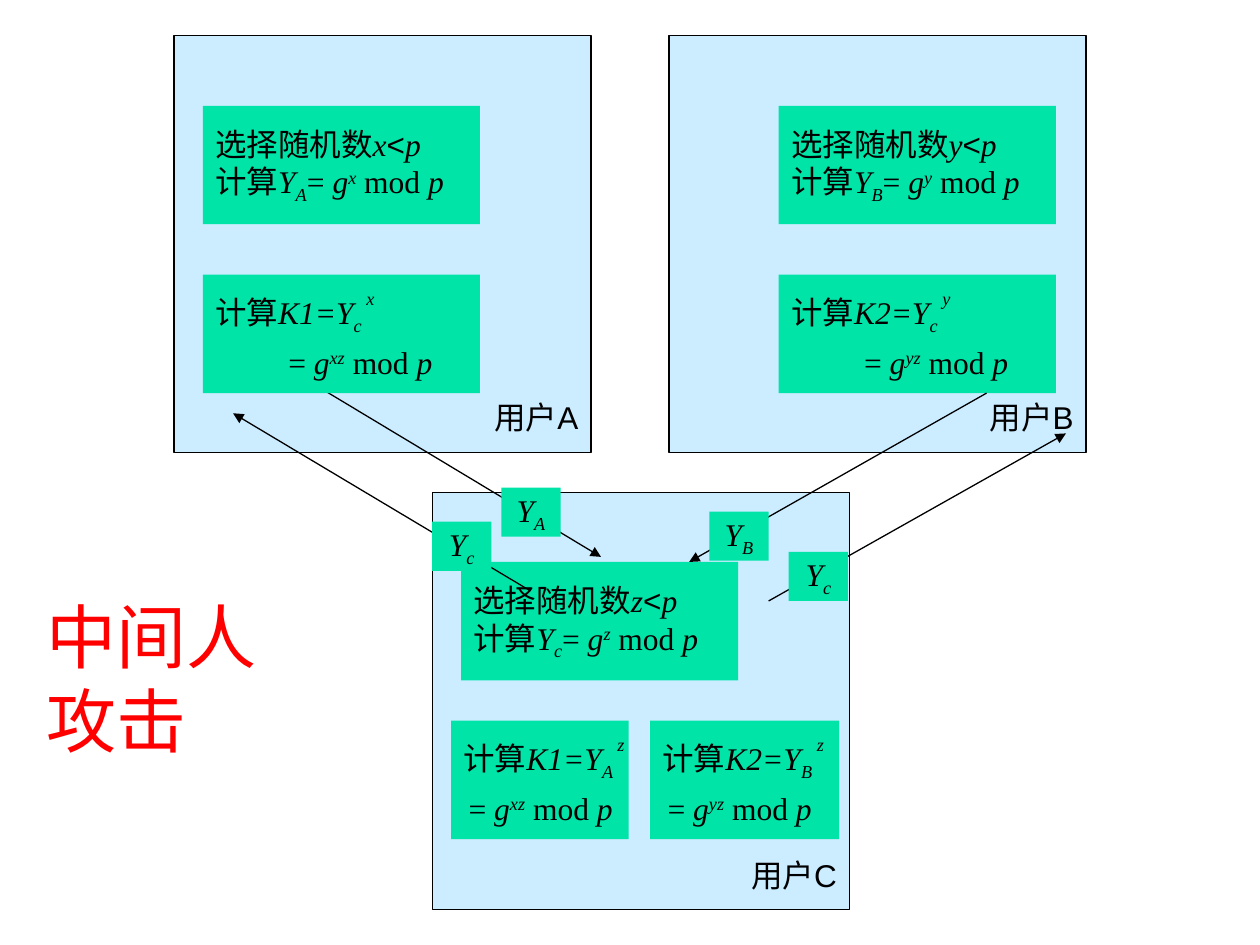
from lxml.etree import SubElement
from pptx import Presentation
from pptx.dml.color import RGBColor
from pptx.enum.shapes import MSO_CONNECTOR as Conn, MSO_SHAPE as Shape
from pptx.enum.text import MSO_ANCHOR as Anchor, PP_ALIGN as Align
from pptx.oxml.ns import qn
from pptx.util import Inches, Pt

BLACK, RED, SKY, MINT = "000000", "FF0000", "CCECFF", "00E4A8"
SIDE, WIDE, HIGH = 3.31, 2.2, 0.94
TAG = (0.47, 0.39)
COLS = {"A": 1.61, "B": 6.18, "C": 3.66}
ROWS = (0.84, 2.18, 4.46, 5.72)

STYLES = {
    "cn": ("Arial", False, 0),
    "up": ("Times New Roman", False, 0),
    "it": ("Times New Roman", True, 0),
    "sub": ("Times New Roman", True, -25),
    "sup": ("Times New Roman", True, 30),
    "top": ("Times New Roman", True, 60),
    "title": ("Lato", False, 0),
}

panels = [("C", 3.43, 3.91), ("B", 5.31, 0.28), ("A", 1.38, 0.28)]

picks = [("A", "A", "x", 0), ("B", "B", "y", 0), ("C", "c", "z", 2)]

keys = [
    ("K2", "c", "y", "yz", COLS["B"], 1, WIDE, 0.58),
    ("K1", "c", "x", "xz", COLS["A"], 1, WIDE, 0.58),
    ("K2", "B", "z", "yz", 5.16, 3, 1.5, 0.04),
    ("K1", "A", "z", "xz", 3.58, 3, 1.41, 0.04),
]

back = [
    ("A", (2.41, 3), (4.77, 4.42), (3.98, 3.87)),
    ("c", (6.1, 4.77), (8.46, 3.44), (6.26, 4.38)),
]
front = [
    ("B", (7.83, 3.12), (5.47, 4.46), (5.63, 4.06)),
    ("c", (4.21, 4.69), (1.85, 3.28), (3.43, 4.14)),
]

deck = Presentation()
deck.slide_width, deck.slide_height = Inches(10), Inches(7.5)
slide = deck.slides.add_slide(deck.slide_layouts[6])
shapes = slide.shapes


def rgb(code):
    return RGBColor.from_string(code)


def write(shape, lines, size=18, color=BLACK, align=Align.LEFT,
          anchor=Anchor.MIDDLE, wrap=False, foot=0.05, indent=0, gap=0):
    frame = shape.text_frame
    frame.word_wrap, frame.vertical_anchor = wrap, anchor
    frame.margin_left = frame.margin_right = Inches(0.1)
    frame.margin_top, frame.margin_bottom = Inches(0.05), Inches(foot)
    for n, line in enumerate(lines):
        para = frame.add_paragraph() if n else frame.paragraphs[0]
        para.alignment = align
        if n:
            para.space_before = Pt(gap)
            para._p.get_or_add_pPr().set("marL", str(Inches(indent)))
        for text, style in line:
            run = para.add_run()
            run.text = text
            font = run.font
            font.name, font.italic, base = STYLES[style]
            font.size, font.color.rgb = Pt(size), rgb(color)
            if base:
                font._element.set("baseline", str(base * 1000))


def box(x, y, w, h, fill, edge=None):
    shape = shapes.add_shape(Shape.RECTANGLE, *map(Inches, (x, y, w, h)))
    shape.shadow.inherit = False
    shape.fill.solid()
    shape.fill.fore_color.rgb = rgb(fill)
    if edge:
        shape.line.color.rgb, shape.line.width = rgb(edge), Pt(0.75)
    else:
        shape.line.fill.background()
    return shape


def link(sub, start, tip, spot):
    line = shapes.add_connector(Conn.STRAIGHT, *map(Inches, start + tip))
    line.line.color.rgb, line.line.width = rgb(BLACK), Pt(0.75)
    SubElement(line.line._get_or_add_ln(), qn("a:tailEnd"), type="triangle")
    SubElement(line._element.spPr, qn("a:effectLst"))
    write(box(*spot, *TAG, MINT), [[("Y", "it"), (sub, "sub")]],
          align=Align.CENTER)


def power(exp):
    return [("= ", "up"), ("g", "it"), (exp, "sup"), (" mod ", "up"), ("p", "it")]


for user, x, y in panels:
    write(box(x, y, SIDE, SIDE, SKY, BLACK), [[("用户" + user, "cn")]],
          align=Align.RIGHT, anchor=Anchor.BOTTOM, foot=0.13)

title = shapes.add_textbox(*map(Inches, (0.27, 5.25, 2.28, 0.84)))
write(title, [[("中间人攻击", "title")]], size=40, color=RED,
      anchor=Anchor.BOTTOM, wrap=True)

for item in back:
    link(*item)

for user, sub, var, row in picks:
    write(box(COLS[user], ROWS[row], WIDE, HIGH, MINT), [
        [("选择随机数", "cn"), (var, "it"), ("<", "cn"), ("p", "it")],
        [("计算", "cn"), ("Y", "it"), (sub, "sub")] + power(var),
    ])

for key, sub, var, exp, x, row, w, indent in keys:
    write(box(x, ROWS[row], w, HIGH, MINT), [
        [("计算", "cn"), (key + "=Y", "it"), (sub + " ", "sub"), (var, "top")],
        power(exp),
    ], indent=indent, gap=4)

for item in front:
    link(*item)

deck.save("out.pptx")
